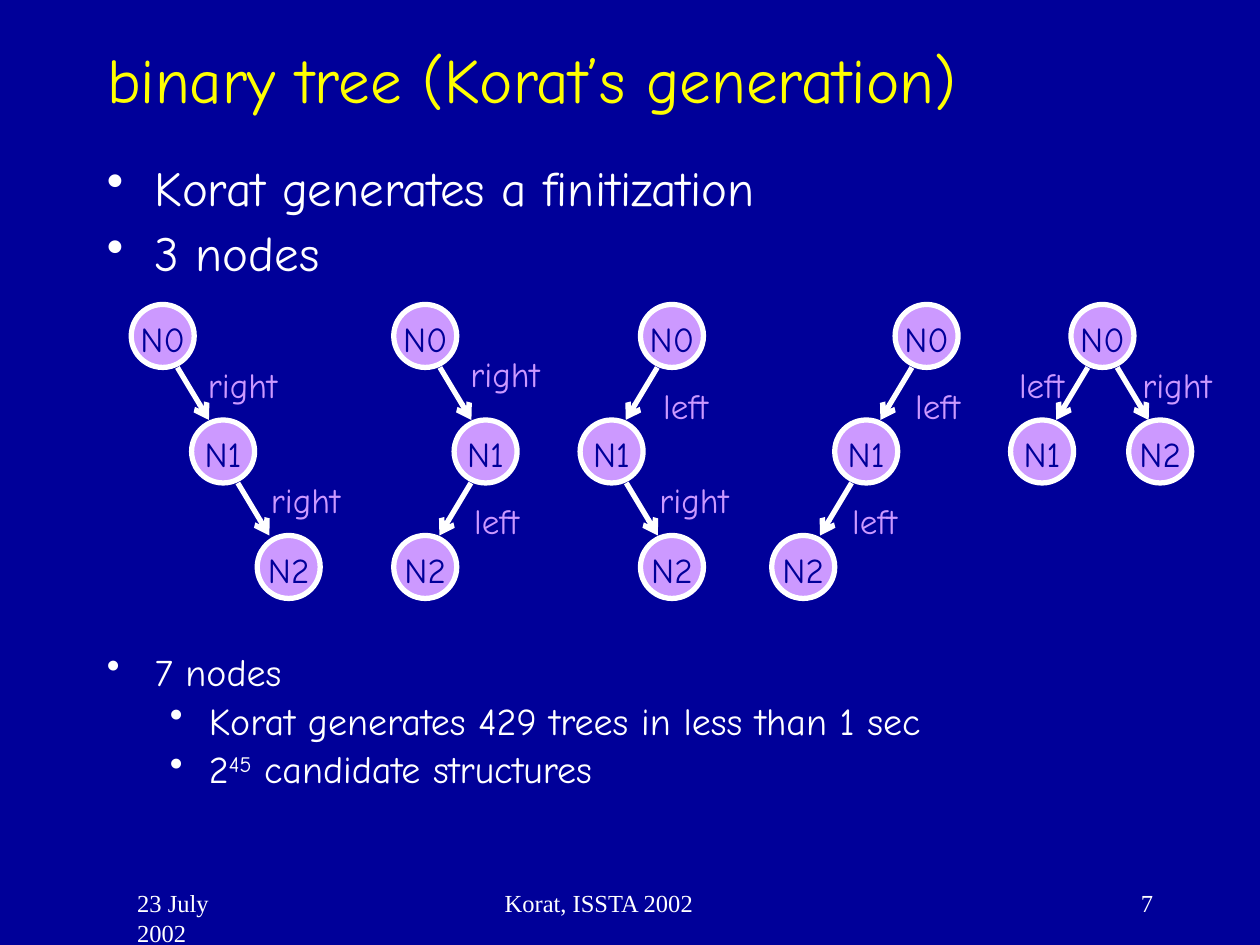
from pptx import Presentation
from pptx.dml.color import RGBColor as RGB
from pptx.enum.shapes import MSO_CONNECTOR as Conn, MSO_SHAPE as Form
from pptx.enum.text import MSO_ANCHOR as Anchor, PP_ALIGN as Align
from pptx.oxml.ns import qn
from pptx.util import Inches, Pt
from lxml.etree import SubElement as sub

NAVY = RGB(0x00, 0x00, 0x99)
YELLOW = RGB(0xFF, 0xFF, 0x00)
WHITE = RGB(0xFF, 0xFF, 0xFF)
LILAC = RGB(0xCC, 0x99, 0xFF)
COMIC, TIMES = "Comic Neue", "Times New Roman"

COLS = 120                  # grid columns across the slide; rows are as tall
SIZE = 6                    # node diameter in columns
ROWS = (29, 40, 51)         # top row of each tree level
SHIFT, RUN = 1.4, 3         # edge start beside the parent's middle, and its run

# Each tree: nodes (name, middle column, level), then
# edges (parent, side, label's middle column, label's top row)
TREES = [
    ([("N0", 15.5, 0), ("N1", 21.25, 1), ("N2", 27.5, 2)],
     [(0, "right", 23.1, 34), (1, "right", 29.1, 45)]),
    ([("N0", 40.5, 0), ("N1", 46.25, 1), ("N2", 40.5, 2)],
     [(0, "right", 48.1, 33), (1, "left", 47.3, 47)]),
    ([("N0", 64, 0), ("N1", 58.25, 1), ("N2", 64, 2)],
     [(0, "left", 65.3, 36), (1, "right", 66.1, 45)]),
    ([("N0", 88.25, 0), ("N1", 82.5, 1), ("N2", 76.5, 2)],
     [(0, "left", 89.3, 36), (1, "left", 83.3, 47)]),
    ([("N0", 105, 0), ("N1", 99.25, 1), ("N2", 110.5, 1)],
     [(0, "left", 99.2, 34), (0, "right", 112.1, 34)]),
]


class Board:
    """Holds the grid, the text styles and the current slide."""

    title_font = dict(name=COMIC, size=Pt(36), color=YELLOW)
    body_font = dict(name=COMIC, size=Pt(28), color=WHITE)
    note_font = dict(name=COMIC, size=Pt(21.7), color=WHITE)
    node_font = dict(name=COMIC, size=Pt(20), color=NAVY)
    edge_font = dict(name=COMIC, size=Pt(20), color=LILAC)
    foot_font = dict(name=TIMES, size=Pt(14), color=WHITE)

    def __init__(self, deck):
        self.unit = deck.slide_width / COLS
        self.slide = deck.slides.add_slide(deck.slide_layouts[5])
        back = self.slide.background.fill
        back.solid()
        back.fore_color.rgb = NAVY

    def grid(self, *cells):
        return [round(cell * self.unit) for cell in cells]

    def words(self, para, text, style, **form):
        run = para.add_run()
        run.text = text
        for key, value in style.items():
            if key == "color":
                run.font.color.rgb = value
            else:
                setattr(run.font, key, value)
        for key, value in form.items():
            setattr(para, key, value)
        return run

    def title(self, text, box):
        head = self.slide.shapes.title
        head.left, head.top, head.width, head.height = self.grid(*box)
        head.text_frame.vertical_anchor = Anchor.MIDDLE
        self.words(head.text_frame.paragraphs[0], text, self.title_font,
                   alignment=Align.LEFT)

    def frame(self, box, home=None, wrap=True):
        home = home or self.slide.shapes
        frame = home.add_textbox(*self.grid(*box)).text_frame
        frame.word_wrap = wrap
        return frame

    def bullets(self, items, box, style, space):
        """Items are (level, runs); every second run is superscript."""
        frame = self.frame(box)
        for spot, (level, runs) in enumerate(items):
            para = frame.add_paragraph() if spot else frame.paragraphs[0]
            for turn, text in enumerate(runs):
                run = self.words(para, text, style, level=level,
                                 line_spacing=space, space_before=Pt(7))
                if turn % 2:
                    run.font._element.set("baseline", "30000")
            left, hang = ((0.38, 0.38), (0.81, 0.31))[level]
            props = para._p.get_or_add_pPr()
            props.set("marL", str(Inches(left)))
            props.set("indent", str(-Inches(hang)))
            sub(props, qn("a:buChar"), char="•")

    def footer(self, text, box, align):
        para = self.frame(box).paragraphs[0]
        self.words(para, text, self.foot_font, alignment=align)
        para._p.get_or_add_pPr().set("marL", str(Inches(0.24)))

    def node(self, home, name, mid, level):
        disc = home.add_shape(Form.OVAL, *self.grid(
            mid - SIZE / 2, ROWS[level], SIZE, SIZE))
        disc.shadow.inherit = False
        disc.fill.solid()
        disc.fill.fore_color.rgb = LILAC
        disc.line.color.rgb = WHITE
        disc.line.width = Pt(3)
        form = dict(margin_left=0, margin_right=0, margin_bottom=0,
                    margin_top=Inches(0.04), word_wrap=False,
                    vertical_anchor=Anchor.MIDDLE)
        for key, value in form.items():
            setattr(disc.text_frame, key, value)
        self.words(disc.text_frame.paragraphs[0], name, self.node_font,
                   alignment=Align.CENTER)

    def edge(self, home, mid, level, side):
        way = 1 if side == "right" else -1
        start = mid + way * SHIFT
        line = home.add_connector(Conn.STRAIGHT, *self.grid(
            start, ROWS[level] + SIZE, start + way * RUN, ROWS[level + 1]))
        line.line.color.rgb = WHITE
        line.line.width = Pt(3)
        props = line._element.spPr
        sub(props.find(qn("a:ln")), qn("a:tailEnd"), type="arrow")
        sub(props, qn("a:effectLst"))

    def label(self, home, text, mid, top):
        wide = 9 if text == "right" else 6.75
        frame = self.frame((mid - wide / 2, top, wide, 5.25), home, False)
        self.words(frame.paragraphs[0], text, self.edge_font,
                   alignment=Align.CENTER)

    def tree(self, nodes, edges):
        home = self.slide.shapes.add_group_shape().shapes
        for node in nodes:
            self.node(home, *node)
        for parent, side, mid, top in edges:
            self.edge(home, *nodes[parent][1:], side)
            self.label(home, side, mid, top)


def main():
    deck = Presentation()
    deck.slide_width, deck.slide_height = Inches(10), Inches(7.5)
    board = Board(deck)

    # Title and opening points
    board.title("binary tree (Korat’s generation)", (9, 2, 102, 11))
    board.bullets([(0, ["Korat generates a finitization"]),
                   (0, ["3 nodes"])],
                  (9, 15, 102, 13), board.body_font, 0.9)

    # The five trees with three nodes
    for nodes, edges in TREES:
        board.tree(nodes, edges)

    # Results for seven nodes
    board.bullets([(0, ["7 nodes"]),
                   (1, ["Korat generates 429 trees in less than 1 sec"]),
                   (1, ["2", "45", " candidate structures"])],
                  (9, 62, 111, 17), board.note_font, 0.8)

    # Footer
    board.footer("23 July 2002", (9, 84, 16, 6), Align.LEFT)
    board.footer("Korat, ISSTA 2002", (44, 84, 38, 6), Align.LEFT)
    board.footer("7", (103, 84, 8, 6), Align.RIGHT)
    deck.save("out.pptx")


if __name__ == "__main__":
    main()
